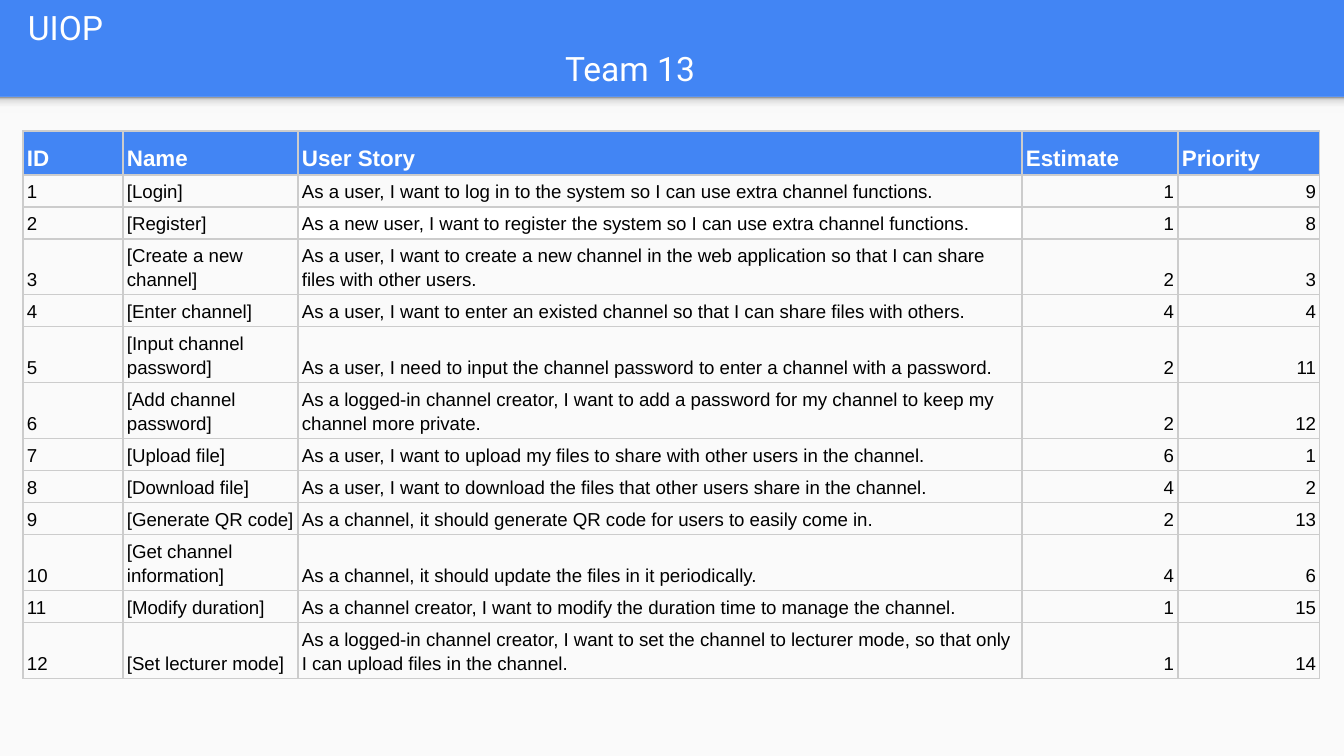
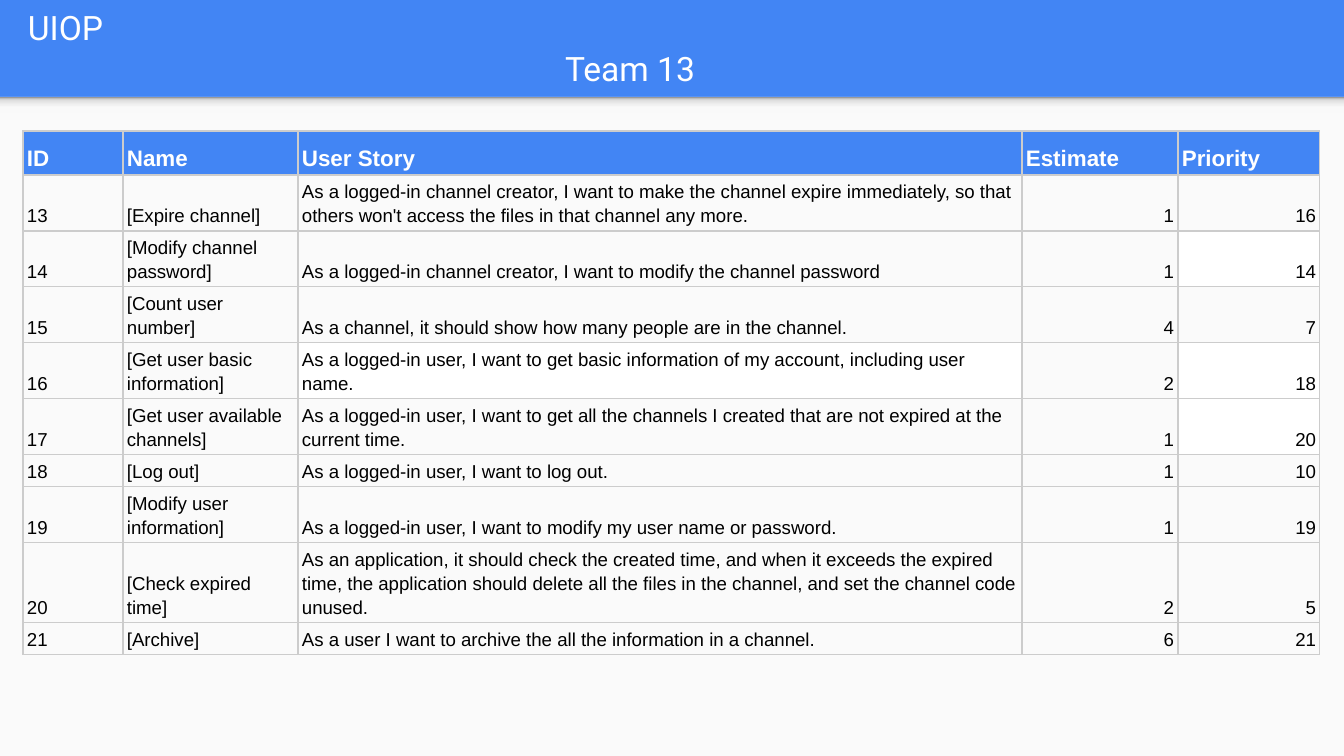
"""Build the two backlog slides of Team 13, each a table of user stories."""
import lxml.etree
import pptx
import pptx.dml.color
import pptx.enum.shapes
import pptx.enum.text
import pptx.oxml.ns
import pptx.util

COLORS = {"blue": "4285F4", "paper": "FAFAFA", "white": "FFFFFF", "black": "000000",
          "grid": "CCCCCC", "glow": "F9F9F9", "haze": "DEDEDE", "shade": "999999"}
SHADOW_STOPS = [(0, "glow"), (36, "glow"), (80, "haze"), (100, "shade")]
HEADINGS = ["ID", "Name", "User Story", "Estimate", "Priority"]
COLUMN_WIDTHS = [100, 175, 724, 156, 142]
HEADER_HEIGHT, ROW_HEIGHT = 44, 28
WHITE_CELLS = {(2, 2), (14, 4), (16, 2), (16, 4), (17, 4)}
BACKLOG = [
    [
        (1, "[Login]", "As a user, I want to log in to the system so I can use extra channel functions.", 1, 9),
        (2, "[Register]", "As a new user, I want to register the system so I can use extra channel functions.", 1, 8),
        (3, "[Create a new channel]", "As a user, I want to create a new channel in the web application "
            "so that I can share files with other users.", 2, 3),
        (4, "[Enter channel]", "As a user, I want to enter an existed channel so that I can share files "
            "with others.", 4, 4),
        (5, "[Input channel password]", "As a user, I need to input the channel password to enter a channel "
            "with a password.", 2, 11),
        (6, "[Add channel password]", "As a logged-in channel creator, I want to add a password for my channel "
            "to keep my channel more private.", 2, 12),
        (7, "[Upload file]", "As a user, I want to upload my files to share with other users in the channel.", 6, 1),
        (8, "[Download file]", "As a user, I want to download the files that other users share in the channel.", 4, 2),
        (9, "[Generate QR code]", "As a channel, it should generate QR code for users to easily come in.", 2, 13),
        (10, "[Get channel information]", "As a channel, it should update the files in it periodically.", 4, 6),
        (11, "[Modify duration]", "As a channel creator, I want to modify the duration time to manage "
            "the channel.", 1, 15),
        (12, "[Set lecturer mode]", "As a logged-in channel creator, I want to set the channel to lecturer mode, "
            "so that only I can upload files in the channel.", 1, 14),
    ],
    [
        (13, "[Expire channel]", "As a logged-in channel creator, I want to make the channel expire immediately, "
            "so that others won't access the files in that channel any more.", 1, 16),
        (14, "[Modify channel password]", "As a logged-in channel creator, I want to modify the channel password", 1, 14),
        (15, "[Count user number]", "As a channel, it should show how many people are in the channel.", 4, 7),
        (16, "[Get user basic information]", "As a logged-in user, I want to get basic information of my account, "
            "including user name.", 2, 18),
        (17, "[Get user available channels]", "As a logged-in user, I want to get all the channels I created "
            "that are not expired at the current time.", 1, 20),
        (18, "[Log out]", "As a logged-in user, I want to log out.", 1, 10),
        (19, "[Modify user information]", "As a logged-in user, I want to modify my user name or password.", 1, 19),
        (20, "[Check expired time]", "As an application, it should check the created time, and when it exceeds "
            "the expired time, the application should delete all the files in the channel, "
            "and set the channel code unused.", 2, 5),
        (21, "[Archive]", "As a user I want to archive the all the information in a channel.", 6, 21),
    ],
]


def px(length):
    return pptx.util.Emu(round(length * 9144000 / 1344))


def rgb(name):
    return pptx.dml.color.RGBColor.from_string(COLORS[name])


qn = pptx.oxml.ns.qn
align = pptx.enum.text.PP_ALIGN
anchor = pptx.enum.text.MSO_ANCHOR

deck = pptx.Presentation()
deck.slide_width, deck.slide_height = px(1344), px(756)
layout = deck.slide_layouts[5]
layout.background.fill.solid()
layout.background.fill.fore_color.rgb = rgb("blue")
slides = [deck.slides.add_slide(layout) for _ in BACKLOG]

panel, shadow = [
    slides[0].shapes.add_shape(pptx.enum.shapes.MSO_SHAPE.RECTANGLE, 0, px(97), px(1344), px(height))
    for height in (659, 16)
]
panel.fill.solid()
panel.fill.fore_color.rgb = rgb("paper")
shadow.fill.gradient()
shadow.fill.gradient_angle = 90
stops = shadow.element.spPr.find(".//" + qn("a:gsLst"))
stops.clear()
for position, color in SHADOW_STOPS:
    stop = lxml.etree.SubElement(stops, qn("a:gs"), pos=str(position * 1000))
    lxml.etree.SubElement(stop, qn("a:srgbClr"), val=COLORS[color])
for number, backdrop in enumerate((panel, shadow), 20):
    backdrop.shadow.inherit = False
    backdrop.line.fill.background()
    backdrop.element.nvSpPr.cNvPr.id = number
    layout.shapes.element.append(backdrop.element)

for slide, stories in zip(slides, BACKLOG):
    title = slide.shapes.title
    for name, value in {"left": 15, "top": 3, "width": 1297, "height": 89}.items():
        setattr(title, name, px(value))
    frame = title.text_frame
    frame.text = "UIOP\nTeam 13"
    frame_format = {"vertical_anchor": anchor.MIDDLE, "word_wrap": True,
                    "auto_size": pptx.enum.text.MSO_AUTO_SIZE.NONE}
    frame_format.update({f"margin_{side}": px(13) for side in ("left", "right", "top", "bottom")})
    for name, value in frame_format.items():
        setattr(frame, name, value)
    for line, indent in zip(frame.paragraphs, (0, 537)):
        line.alignment = align.LEFT
        line.line_spacing = pptx.util.Pt(22)
        line.space_before = pptx.util.Pt(0)
        line.font.name, line.font.size = "Roboto", pptx.util.Pt(18)
        line.font.color.rgb = rgb("white")
        line.runs[0].font.name = "Roboto"
        line._p.get_or_add_pPr().set("marL", str(px(indent)))

    table = slide.shapes.add_table(
        len(stories) + 1, len(HEADINGS), px(23), px(131), px(sum(COLUMN_WIDTHS)),
        px(HEADER_HEIGHT + ROW_HEIGHT * len(stories))).table
    table.horz_banding = False
    for column, width in zip(table.columns, COLUMN_WIDTHS):
        column.width = px(width)
    for row_index, values in enumerate([HEADINGS, *stories]):
        is_header = row_index == 0
        table.rows[row_index].height = px(HEADER_HEIGHT if is_header else ROW_HEIGHT)
        for column_index, value in enumerate(values):
            cell = table.cell(row_index, column_index)
            cell.text = str(value)
            cell.vertical_anchor = anchor.BOTTOM
            for side in ("left", "right", "top", "bottom"):
                setattr(cell, f"margin_{side}", px(4))
            if is_header or (values[0], column_index) in WHITE_CELLS:
                cell.fill.solid()
                cell.fill.fore_color.rgb = rgb("blue" if is_header else "white")
            else:
                cell.fill.background()
            text = cell.text_frame.paragraphs[0]
            text.line_spacing = 1.15
            text.alignment = align.RIGHT if column_index > 2 and not is_header else align.LEFT
            font = text.runs[0].font
            font.color.rgb = rgb("white" if is_header else "black")
            for name, setting in {"name": "Arial", "bold": is_header,
                                  "size": pptx.util.Pt(12 if is_header else 10)}.items():
                setattr(font, name, setting)
            for order, edge in enumerate(("a:lnL", "a:lnR", "a:lnT", "a:lnB")):
                border = lxml.etree.Element(qn(edge), w=str(pptx.util.Pt(0.75)))
                ink = lxml.etree.SubElement(border, qn("a:solidFill"))
                lxml.etree.SubElement(ink, qn("a:srgbClr"), val=COLORS["grid"])
                cell._tc.get_or_add_tcPr().insert(order, border)

deck.save("out.pptx")
